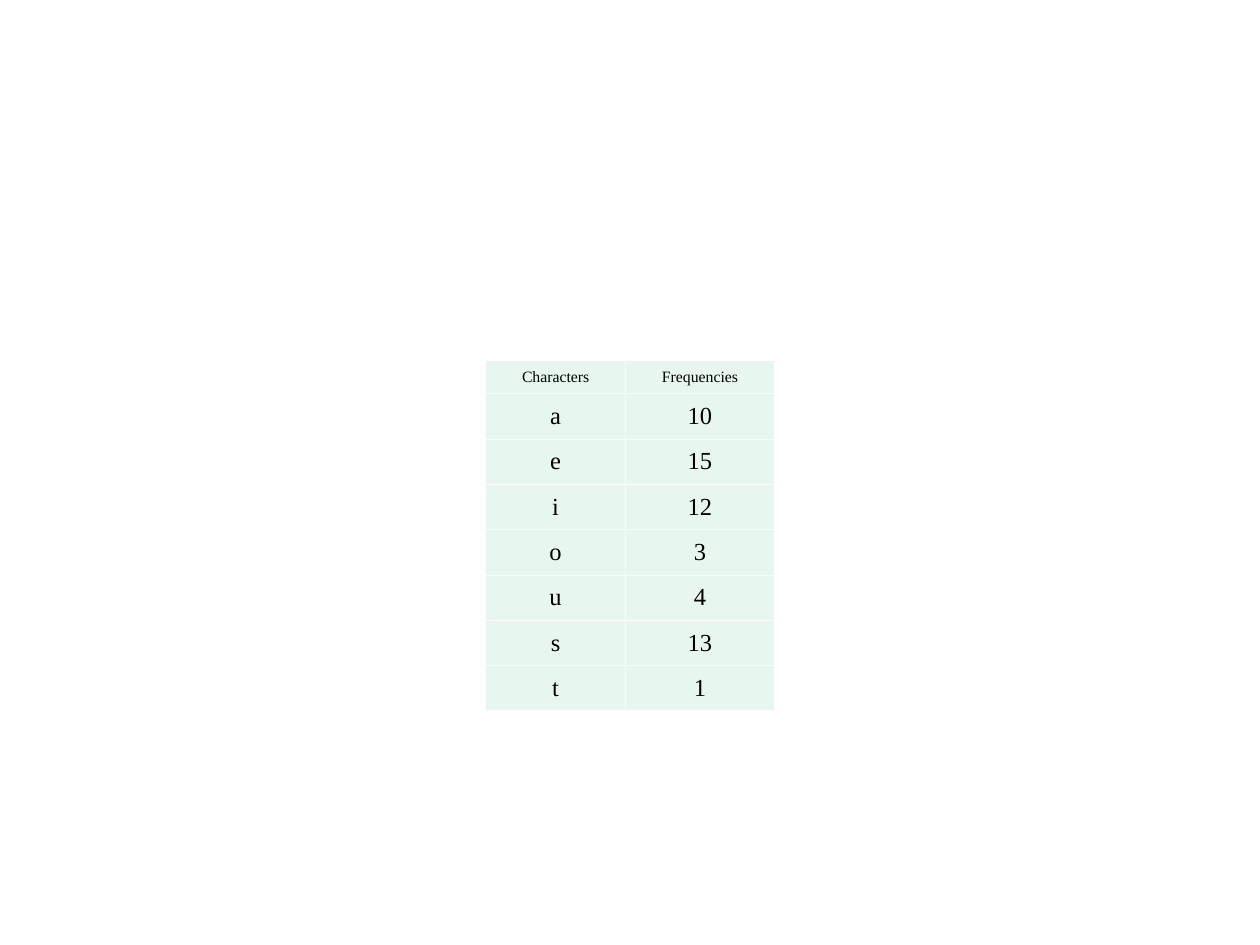
from lxml import etree
from pptx import Presentation
from pptx.dml.color import RGBColor
from pptx.enum.text import MSO_ANCHOR, PP_ALIGN
from pptx.oxml.ns import qn
from pptx.util import Pt

CENTER = PP_ALIGN.CENTER
MIDDLE = MSO_ANCHOR.MIDDLE
FONT = "Times New Roman"
COLORS = {"text": "000000", "cell": "E7F6EF", "border": "FFFFFF"}
HEADER = ("Characters", "Frequencies")
FREQUENCIES = {"a": 10, "e": 15, "i": 12, "o": 3, "u": 4, "s": 13, "t": 1}


def add_borders(cell):
    """Draw a thin line on each side of the cell."""
    properties = cell._tc.get_or_add_tcPr()
    for index, side in enumerate(("a:lnL", "a:lnR", "a:lnT", "a:lnB")):
        line = etree.Element(qn(side), w=str(Pt(0.45)))
        fill = etree.SubElement(line, qn("a:solidFill"))
        etree.SubElement(fill, qn("a:srgbClr"), val=COLORS["border"])
        properties.insert(index, line)


def style_cell(cell, text, size):
    """Write centred text in a filled, bordered cell."""
    cell.text = text
    cell.vertical_anchor = MIDDLE
    cell.margin_left = cell.margin_right = Pt(5.4)
    cell.margin_top = cell.margin_bottom = Pt(3.6)
    cell.fill.solid()
    cell.fill.fore_color.rgb = RGBColor.from_string(COLORS["cell"])
    add_borders(cell)
    para = cell.text_frame.paragraphs[0]
    para.alignment = CENTER
    para.font.name = FONT
    para.font.size = Pt(size)
    para.font.color.rgb = RGBColor.from_string(COLORS["text"])


def add_frequency_table(page, left, top, width, height):
    """Place the table of character frequencies in the given box."""
    rows = [HEADER, *FREQUENCIES.items()]
    table = page.shapes.add_table(
        len(rows), len(HEADER), Pt(left), Pt(top), Pt(width), Pt(height)
    ).table
    table.first_row = table.horz_banding = False
    first_width, header_height = 80, 19
    body_height = (height - header_height) / len(FREQUENCIES)
    table.columns[0].width = Pt(first_width)
    table.columns[1].width = Pt(width - first_width)
    for row, values in enumerate(rows):
        table.rows[row].height = Pt(body_height if row else header_height)
        for column, value in enumerate(values):
            style_cell(table.cell(row, column), str(value), 14 if row else 9)


def main():
    """Build and save the deck."""
    deck = Presentation()
    deck.slide_width, deck.slide_height = Pt(720), Pt(540)
    page = deck.slides.add_slide(deck.slide_layouts[6])
    add_frequency_table(page, 277.5, 206, 165, 200.2)
    deck.save("out.pptx")


if __name__ == "__main__":
    main()
